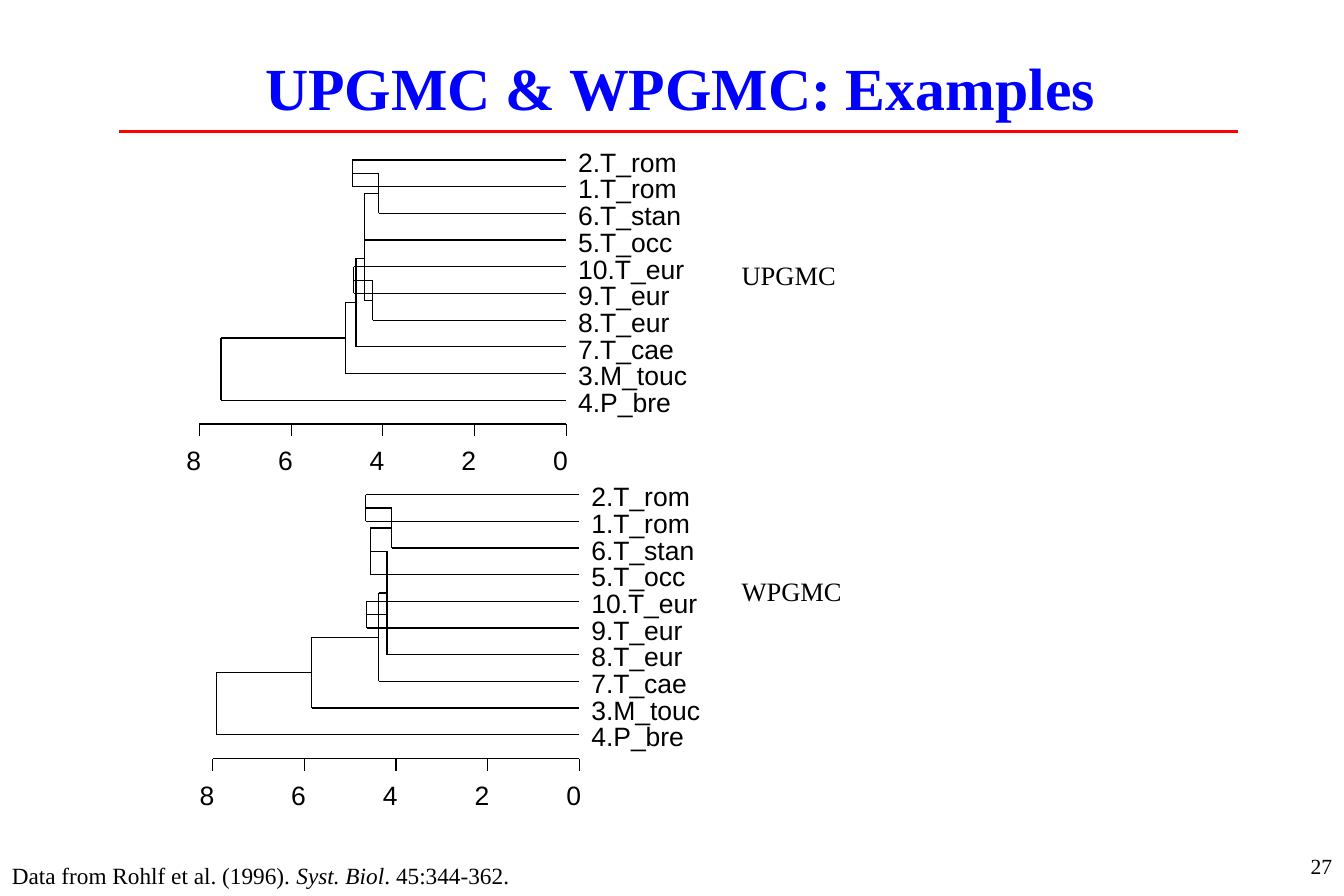
from lxml.etree import SubElement
from pptx import Presentation
from pptx.dml.color import RGBColor
from pptx.enum.shapes import MSO_CONNECTOR
from pptx.enum.text import MSO_ANCHOR as Anchor, PP_ALIGN as Align
from pptx.oxml.ns import qn
from pptx.util import Inches, Pt

BLACK = RGBColor(0, 0, 0)
BLUE = RGBColor(0, 0, 255)
RED = RGBColor(255, 0, 0)
SERIF = "Times New Roman"
SANS = "Arial"

SPECIES = ["2.T_rom", "1.T_rom", "6.T_stan", "5.T_occ", "10.T_eur",
           "9.T_eur", "8.T_eur", "7.T_cae", "3.M_touc", "4.P_bre"]
# Each merged cluster keeps the name of its upper member.
MERGES = [("2.T_rom", "1.T_rom"), ("2.T_rom", "6.T_stan"),
          ("2.T_rom", "5.T_occ"), ("10.T_eur", "9.T_eur"),
          ("10.T_eur", "8.T_eur"), ("2.T_rom", "10.T_eur"),
          ("2.T_rom", "7.T_cae"), ("2.T_rom", "3.M_touc"),
          ("2.T_rom", "4.P_bre")]
# Right edge, first row, and the distance of each merge from the right edge.
DENDROGRAMS = [
    (4.85, 4.14, [1.79, 1.57, 1.75, 1.78, 1.61, 1.61, 1.68, 2.24, 3.04]),
    (4.74, 1.34, [1.79, 1.57, 1.69, 1.78, 1.62, 1.69, 1.76, 1.85, 2.89]),
]
ROW_STEP = 2.01 / (len(SPECIES) - 1)
AXIS_DROP = 2.21
AXIS_WIDTH = 3.07
TICK_VALUES = [0, 2, 4, 6, 8]


def write_text(shape, text, size=16, font=SERIF, color=BLACK, bold=False,
               align=Align.LEFT, anchor=Anchor.TOP, margins=(0.1, 0.05)):
    """Fill a shape with one paragraph; text between asterisks is italic."""
    frame = shape.text_frame
    frame.word_wrap = True
    frame.vertical_anchor = anchor
    frame.margin_left = frame.margin_right = Inches(margins[0])
    frame.margin_top = frame.margin_bottom = Inches(margins[1])
    paragraph = frame.paragraphs[0]
    paragraph.alignment = align
    for index, piece in enumerate(text.split("*")):
        run = paragraph.add_run()
        run.text = piece
        run.font.name = font
        run.font.size = Pt(size)
        run.font.bold = bold
        run.font.italic = index % 2 == 1
        run.font.color.rgb = color


def add_line(shapes, start, end, color=BLACK, width=0.75):
    """Draw a straight line, unless it has no length."""
    if start == end:
        return
    line = shapes.add_connector(MSO_CONNECTOR.STRAIGHT,
                                *map(Inches, (*start, *end)))
    line.line.color.rgb = color
    line.line.width = Pt(width)
    SubElement(line._element.spPr, qn("a:effectLst"))


presentation = Presentation()
presentation.slide_width = Inches(11.25)
presentation.slide_height = Inches(7.5)
slide = presentation.slides.add_slide(presentation.slide_layouts[5])

title = slide.shapes.title
title.left, title.top = Inches(0.43), Inches(0.1)
title.width, title.height = Inches(10.53), Inches(1.25)
write_text(title, "UPGMC & WPGMC: Examples", size=36, color=BLUE, bold=True,
           align=Align.CENTER, anchor=Anchor.MIDDLE)
add_line(slide.shapes, (1, 1.1), (10.36, 1.1), color=RED, width=1.5)

for method, top in [("UPGMC", 2.12), ("WPGMC", 4.76)]:
    box = slide.shapes.add_textbox(*map(Inches, (6.11, top, 1.93, 0.37)))
    write_text(box, method)

citation = slide.shapes.add_textbox(*map(Inches, (0, 7.16, 6.71, 0.34)))
write_text(citation, "Data from Rohlf et al. (1996). *Syst. Biol*. 45:344-362.",
           size=14)
page_number = slide.shapes.add_textbox(*map(Inches, (8.91, 7, 2.34, 0.5)))
write_text(page_number, "27", size=13, align=Align.RIGHT, anchor=Anchor.MIDDLE)

for right, first_row, distances in DENDROGRAMS:
    shapes = slide.shapes.add_group_shape().shapes

    axis = first_row + AXIS_DROP
    add_line(shapes, (right, axis), (right - AXIS_WIDTH, axis))
    for value in TICK_VALUES:
        x = right - AXIS_WIDTH * value / TICK_VALUES[-1]
        add_line(shapes, (x, axis), (x, axis + 0.1))
        label = shapes.add_textbox(
            *map(Inches, (x - 0.11, axis + 0.17, 0.22, 0.28)))
        write_text(label, str(value), font=SANS, margins=(0, 0))

    clusters = {}
    for row, name in enumerate(SPECIES):
        y = first_row + row * ROW_STEP
        clusters[name] = (right, y)
        label = shapes.add_textbox(
            *map(Inches, (right + 0.1, y - 0.12, 1.1, 0.28)))
        write_text(label, name, font=SANS, margins=(0, 0))

    for (upper, lower), distance in zip(MERGES, distances):
        x = right - distance
        middle = (clusters[upper][1] + clusters[lower][1]) / 2
        for name in (upper, lower):
            member = clusters[name]
            corner = (x, member[1])
            add_line(shapes, (x, middle), corner)
            add_line(shapes, corner, member)
        clusters[upper] = (x, middle)

presentation.save("out.pptx")
